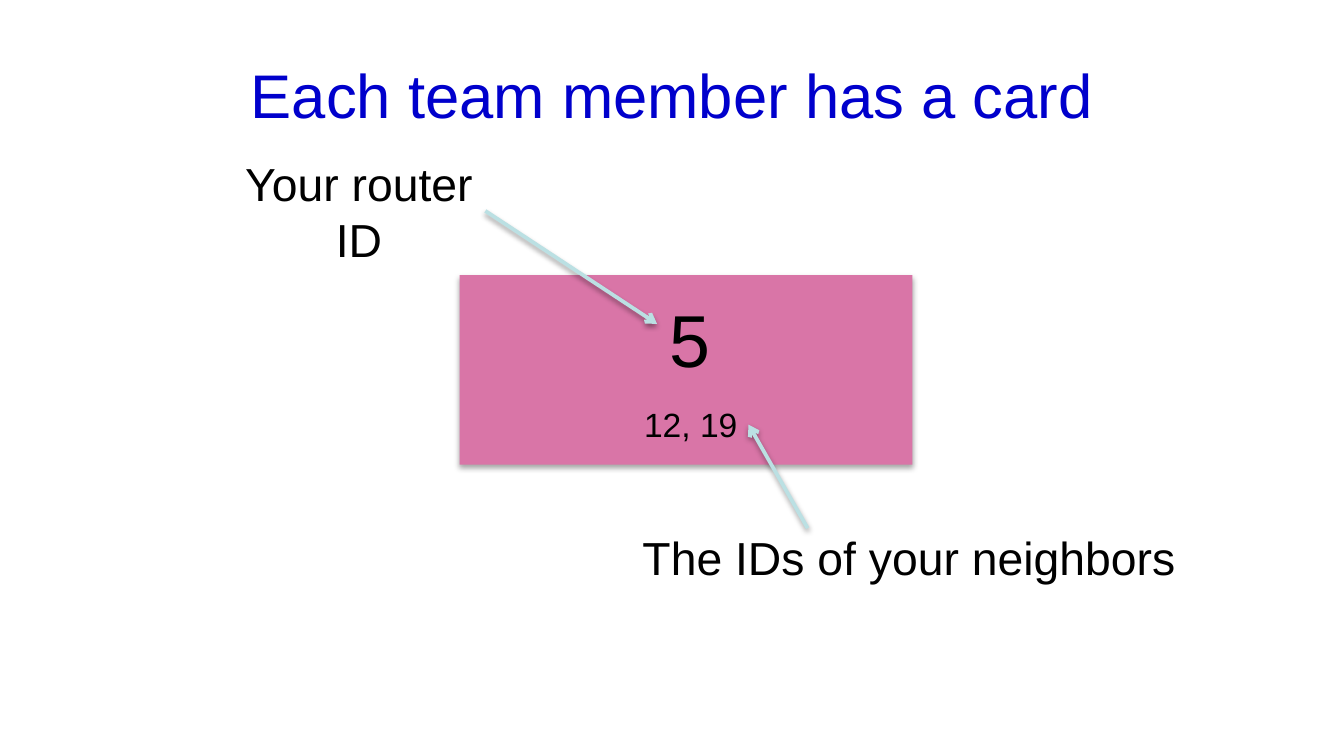
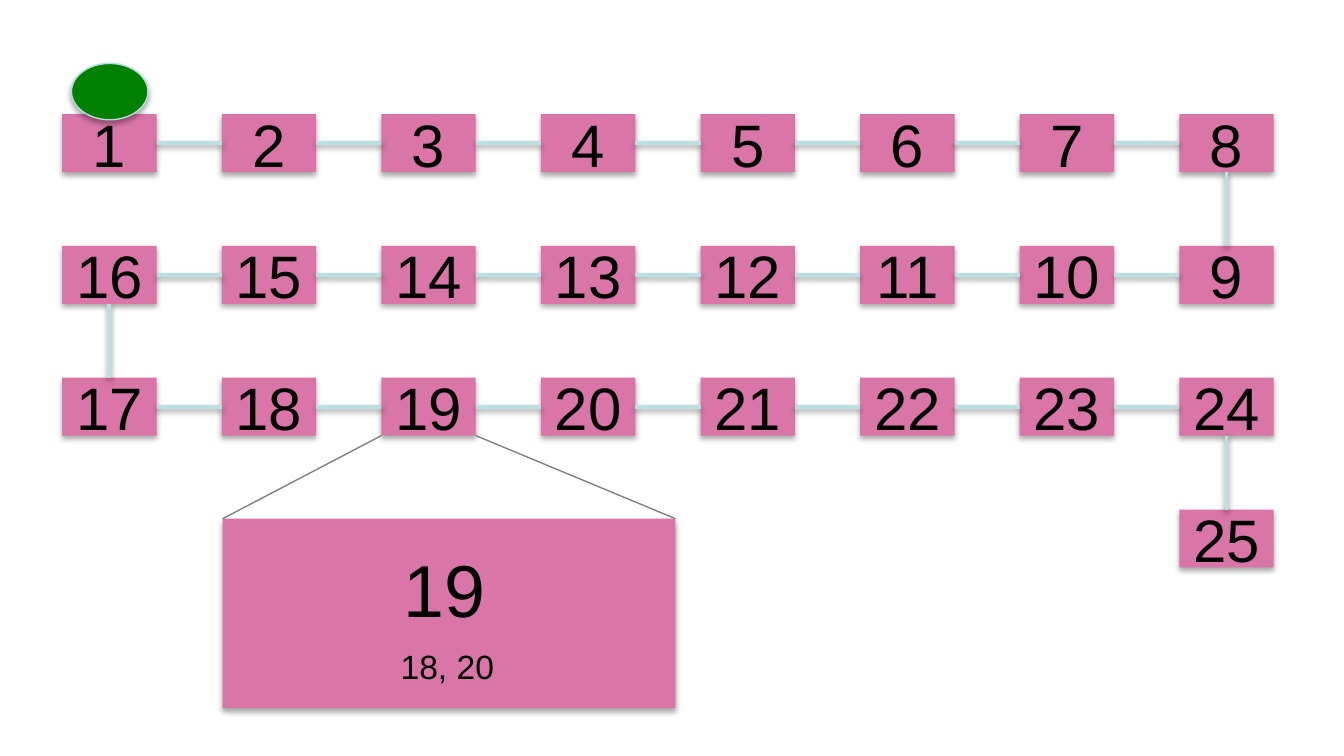
from pptx import Presentation
from pptx.dml.color import RGBColor
from pptx.enum.shapes import MSO_CONNECTOR as CONN, MSO_SHAPE as SHAPE
from pptx.enum.text import MSO_ANCHOR as ANCHOR, PP_ALIGN as ALIGN
from pptx.oxml import parse_xml
from pptx.oxml.ns import nsdecls
from pptx.util import Pt

# Shared look
rgb = RGBColor.from_string
FONT = "Arial"
BLUE, BLACK, PINK = "0000CC", "000000", "D975A7"
GREEN, PALE, GRAY = "008000", "BBE0E3", "808080"
CARD_W, CARD_H = 242.6, 101.5
NS = nsdecls("a")
SHADOW = (f'<a:effectLst {NS}><a:outerShdw blurRad="39400" dist="%d" dir="5400000" '
          'rotWithShape="0"><a:srgbClr val="000000"><a:alpha val="%d"/></a:srgbClr>'
          '</a:outerShdw></a:effectLst>')


def add_block(s, x, y, w, h, lines=(), size=18, color=BLACK, align=ALIGN.CENTER,
              fill=None, kind=SHAPE.RECTANGLE, outline=None):
    """Add a filled, shadowed shape, or a plain text box when there is no fill."""
    box = Pt(x), Pt(y), Pt(w), Pt(h)
    if fill:
        sp = s.shapes.add_shape(kind, *box)
        sp.fill.solid()
        sp.fill.fore_color.rgb = rgb(fill)
        if outline:
            sp.line.color.rgb = rgb(outline)
            sp.line.width = Pt(0.75)
        else:
            sp.line.fill.background()
        sp._element.spPr.append(parse_xml(SHADOW % (Pt(1.8), 35000)))
    else:
        sp = s.shapes.add_textbox(*box)
    tf = sp.text_frame
    tf.word_wrap = bool(fill)
    tf.vertical_anchor = ANCHOR.MIDDLE if fill else ANCHOR.TOP
    tf.margin_left = tf.margin_right = Pt(6.6)
    tf.margin_top = tf.margin_bottom = Pt(3.3)
    for i, line in enumerate(lines):
        p = tf.add_paragraph() if i else tf.paragraphs[0]
        p.alignment = align
        r = p.add_run()
        r.text = line
        r.font.name = FONT
        r.font.size = Pt(size)
        r.font.color.rgb = rgb(color)
    return sp


def add_line(s, x1, y1, x2, y2, color=PALE, width=2, shadow=True, arrow=False):
    ln = s.shapes.add_connector(CONN.STRAIGHT, Pt(x1), Pt(y1), Pt(x2), Pt(y2))
    ln.line.color.rgb = rgb(color)
    ln.line.width = Pt(width)
    if arrow:
        ln.line._get_or_add_ln().append(parse_xml(f'<a:tailEnd {NS} type="arrow"/>'))
    effect = SHADOW % (Pt(1.6), 38000) if shadow else f"<a:effectLst {NS}/>"
    ln._element.spPr.append(parse_xml(effect))
    return ln


prs = Presentation()
prs.slide_width, prs.slide_height = Pt(720), Pt(405)
blank = prs.slide_layouts[6]

# Slide 1: how to read a card
s = prs.slides.add_slide(blank)
title = add_block(s, 36, 16.6, 648, 67.7, ["Each team member has a card"], 33, BLUE)
title.text_frame.word_wrap = True
title.text_frame.vertical_anchor = ANCHOR.MIDDLE

add_block(s, 246.2, 147.4, CARD_W, CARD_H, fill=PINK)
add_block(s, 352, 154, 35.3, 54, ["5"], 39.4, align=ALIGN.LEFT)
add_block(s, 338.4, 213, 63.4, 28, ["12, 19"], 18, align=ALIGN.LEFT)

add_block(s, 124.6, 80, 135.4, 66.2, ["Your router", "ID"], 24.8)
add_line(s, 260, 113, 352, 173.5, arrow=True)
add_block(s, 337, 280, 300.2, 36.7, ["The IDs of your neighbors"], 24.8)
add_line(s, 432.7, 283, 401, 227.5, arrow=True)

# Slide 2: routers 1 to 25 in a winding chain
s = prs.slides.add_slide(blank)
COLS, COUNT = 8, 25
LEFT, TOP, NODE_W, NODE_H = 33.3, 61.2, 50.6, 31
STEP_X, STEP_Y = 85.5, 70.6

nodes = []
for i in range(COUNT):
    row, col = divmod(i, COLS)
    if row % 2:
        col = COLS - 1 - col
    nodes.append(add_block(s, LEFT + col * STEP_X, TOP + row * STEP_Y, NODE_W, NODE_H,
                           [str(i + 1)], 32.1, fill=PINK))

# Links: right on even rows, left on odd rows, down at each row end
for i in range(COUNT - 1):
    row, col = divmod(i, COLS)
    if col == COLS - 1:
        start, end = 2, 0
    elif row % 2:
        start, end = 1, 3
    else:
        start, end = 3, 1
    ln = add_line(s, 0, 0, 0, 0)
    ln.begin_connect(nodes[i], start)
    ln.end_connect(nodes[i + 1], end)

# Token on router 1
add_block(s, 38.3, 34, 41, 30.2, fill=GREEN, kind=SHAPE.OVAL, outline="B6DCDF")

# Enlarged card of router 19
card_x, card_y = 119.3, 277.9
add_block(s, card_x, card_y, CARD_W, CARD_H, fill=PINK)
add_block(s, 209.7, 288, 57, 54, ["19"], 39.4, align=ALIGN.LEFT)
add_block(s, 208, 342.5, 63.4, 28, ["18, 20"], 18, align=ALIGN.LEFT)
node_x, node_bottom = LEFT + 2 * STEP_X, TOP + 2 * STEP_Y + NODE_H
for x1, x2 in [(node_x, card_x), (node_x + NODE_W, card_x + CARD_W)]:
    add_line(s, x1, node_bottom, x2, card_y, GRAY, 0.75, shadow=False)

prs.save("out.pptx")
